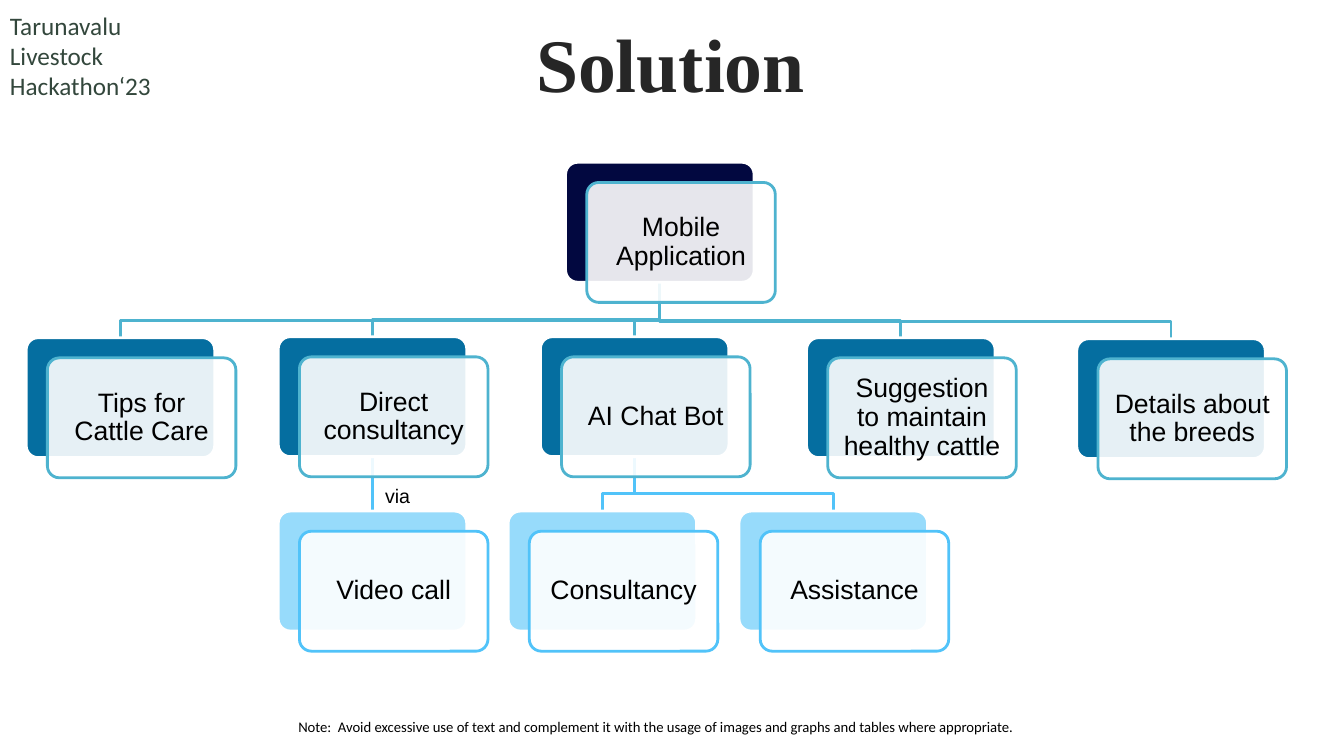
from lxml import etree
from pptx import Presentation, util as u
from pptx.dml.color import RGBColor
from pptx.enum import shapes, text
from pptx.oxml import ns

CARD_W, CARD_H = 1.87, 1.19
FRONT_DX, FRONT_DY = 0.21, 0.2
BEND_GAP = 0.17

# Fill of the back card, outline of the front card
LEVELS = [("020840", "4EB3CF"), ("056EA0", "4EB3CF"), ("97DBFB", "51C3F9")]

# Topic: left, top, level, parent
TOPICS = {
    "Mobile Application": (5.61, 1.61, 0, None),
    "Tips for Cattle Care": (0.26, 3.35, 1, "Mobile Application"),
    "Direct consultancy": (2.76, 3.34, 1, "Mobile Application"),
    "Video call": (2.76, 5.07, 2, "Direct consultancy"),
    "AI Chat Bot": (5.36, 3.34, 1, "Mobile Application"),
    "Consultancy": (5.04, 5.07, 2, "AI Chat Bot"),
    "Assistance": (7.33, 5.07, 2, "AI Chat Bot"),
    "Suggestion to maintain healthy cattle": (8, 3.35, 1, "Mobile Application"),
    "Details about the breeds": (10.68, 3.36, 1, "Mobile Application"),
}


def colour(value):
    return RGBColor.from_string(value)


def apply(target, values):
    for key, value in values.items():
        setattr(target, key, value)


def write(frame, lines, font, size, ink, inset=(0.1, 0.05), bold=False,
          wrap=True, paragraph_format=None):
    side, end = (u.Inches(v) for v in inset)
    apply(frame, {"margin_left": side, "margin_right": side, "margin_top": end,
                  "margin_bottom": end, "word_wrap": wrap,
                  "auto_size": text.MSO_AUTO_SIZE.NONE})
    for i, line in enumerate(lines):
        paragraph = frame.paragraphs[0] if i == 0 else frame.add_paragraph()
        apply(paragraph, paragraph_format or {})
        run = paragraph.add_run()
        run.text = line
        apply(run.font, {"name": font, "size": u.Pt(size), "bold": bold})
        run.font.color.rgb = colour(ink)


def add_label(slide, box, lines, font, size, ink, wrap=True):
    label = slide.shapes.add_textbox(*map(u.Inches, box))
    write(label.text_frame, lines, font, size, ink, wrap=wrap)


def set_line(shape, ink):
    shape.line.color.rgb = colour(ink)
    shape.line.width = u.Pt(2)


def add_title(slide, box):
    title = slide.shapes.title
    left, top, width, height = map(u.Inches, box)
    apply(title, {"left": left, "top": top, "width": width, "height": height})
    title.fill.solid()
    title.fill.fore_color.rgb = colour("FFFFFF")
    title.text_frame.vertical_anchor = text.MSO_ANCHOR.MIDDLE
    write(title.text_frame, ["Solution"], "Times New Roman", 54, "262626",
          inset=(0.2, 0.2), bold=True,
          paragraph_format={"alignment": text.PP_ALIGN.CENTER, "line_spacing": 0.9})


def add_branch(slide, parent, child, ink):
    """Link from the parent's bottom to the child's top."""
    start_x, end_x = parent[0] + CARD_W / 2, child[0] + CARD_W / 2
    start_y, end_y = parent[1] + CARD_H, child[1]
    if start_x == end_x:
        branch = slide.shapes.add_connector(
            shapes.MSO_CONNECTOR.STRAIGHT,
            *map(u.Inches, (start_x, start_y, end_x, end_y)))
        etree.SubElement(branch._element.spPr, ns.qn("a:effectLst"))
    else:
        bend_y = end_y - BEND_GAP
        outline = slide.shapes.build_freeform(u.Inches(start_x), u.Inches(start_y))
        outline.add_line_segments(
            [(u.Inches(x), u.Inches(y))
             for x, y in ((start_x, bend_y), (end_x, bend_y), (end_x, end_y))],
            close=False)
        branch = outline.convert_to_shape()
        branch.fill.background()
        branch.shadow.inherit = False
    set_line(branch, ink)
    return branch


def add_panel(slide, left, top, fill, ink):
    panel = slide.shapes.add_shape(
        shapes.MSO_SHAPE.ROUNDED_RECTANGLE,
        *map(u.Inches, (left, top, CARD_W, CARD_H)))
    panel.adjustments[0] = 0.1
    panel.shadow.inherit = False
    panel.fill.solid()
    panel.fill.fore_color.rgb = colour(fill)
    set_line(panel, ink)
    return panel


def add_card(slide, topic, left, top, level):
    fill, ink = LEVELS[level]
    back = add_panel(slide, left, top, fill, "FFFFFF")
    front = add_panel(slide, left + FRONT_DX, top + FRONT_DY, "FFFFFF", ink)
    # Let the back card show faintly through the front one
    tint = front._element.spPr.find(ns.qn("a:solidFill"))[0]
    etree.SubElement(tint, ns.qn("a:alpha"), val="90000")
    front.text_frame.vertical_anchor = text.MSO_ANCHOR.MIDDLE
    write(front.text_frame, [topic], "Arial", 19, "000000", inset=(0.11, 0.11),
          paragraph_format={"alignment": text.PP_ALIGN.CENTER, "line_spacing": 0.9})
    return back


def add_tree(slide):
    # Branches lie behind the cards
    straight = []
    for topic, (left, top, level, parent) in TOPICS.items():
        if parent:
            branch = add_branch(slide, TOPICS[parent], (left, top), LEVELS[level][1])
            if left == TOPICS[parent][0]:
                straight.append((branch, parent, topic))

    cards = {topic: add_card(slide, topic, left, top, level)
             for topic, (left, top, level, _) in TOPICS.items()}

    for branch, parent, topic in straight:
        branch.begin_connect(cards[parent], 2)
        branch.end_connect(cards[topic], 0)
    add_label(slide, (3.72, 4.75, 0.45, 0.34), ["via"], "Arial", 14, "000000", wrap=False)


def main():
    deck = Presentation()
    deck.slide_width, deck.slide_height = u.Inches(13.33), u.Inches(7.5)
    slide = deck.slides.add_slide(deck.slide_layouts[5])

    # Event name and footnote
    add_label(slide, (0, 0.05, 2.52, 1.01),
              ["Tarunavalu", "Livestock", "Hackathon‘23"], "Calibri", 18, "33473C")
    add_label(slide, (2.86, 7.07, 7.59, 0.28),
              ["Note:  Avoid excessive use of text and complement it with the usage of "
               "images and graphs and tables where appropriate."],
              "Calibri", 10.5, "000000")
    add_title(slide, (2.74, 0.29, 7.82, 0.77))
    add_tree(slide)
    deck.save("out.pptx")


if __name__ == "__main__":
    main()
